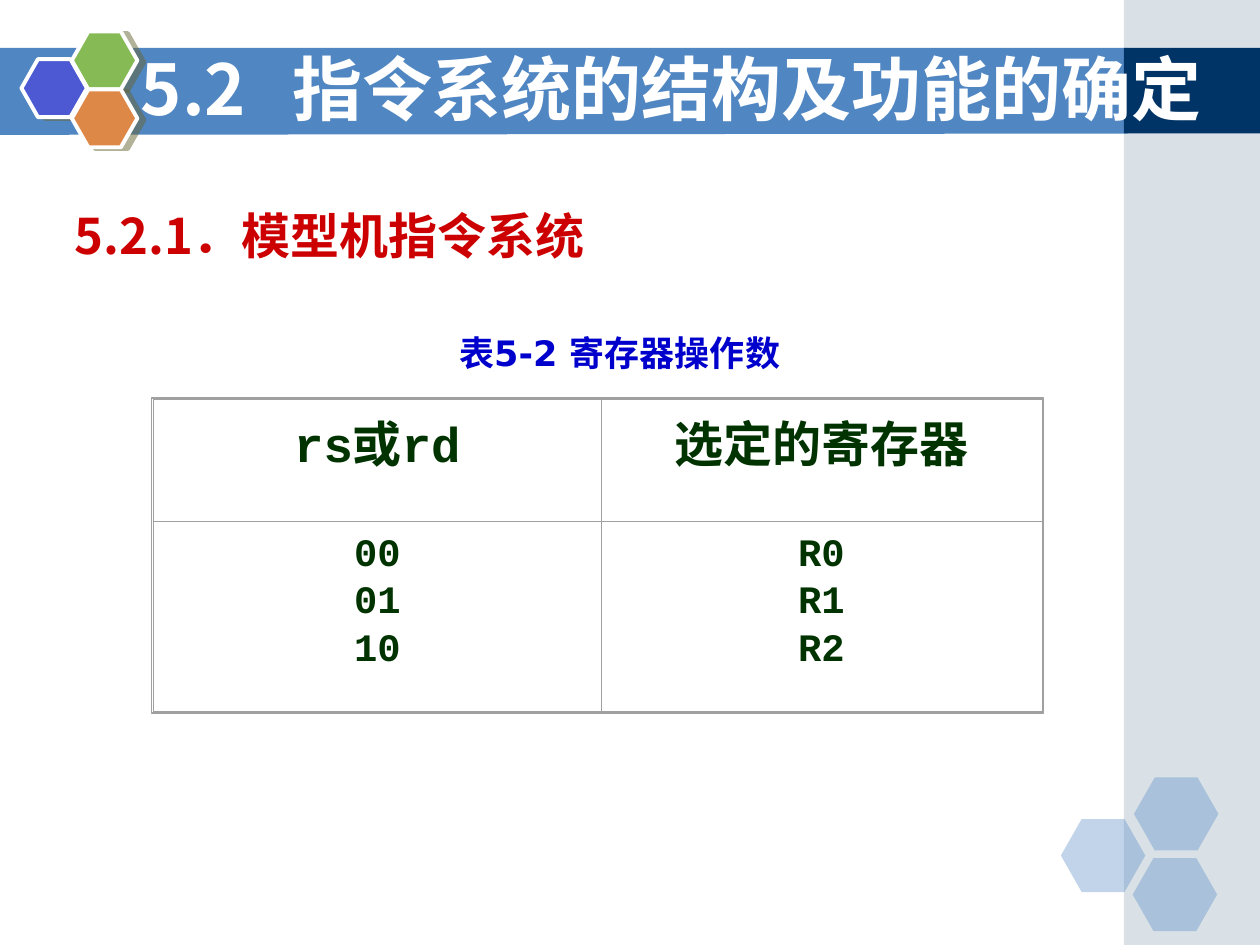
from lxml import etree
from pptx import Presentation
from pptx import util as u
from pptx.dml.color import RGBColor
from pptx.enum import shapes, text
from pptx.oxml.ns import qn

WIDTH, HEIGHT = 10, 7.5
COLORS = {
    "band": "5086C2", "side": "A0B5C4", "corner": "003366",
    "blue": "4C59D2", "green": "85BA54", "orange": "DE8848",
    "white": "FFFFFF", "shadow": "666633", "section": "CC0000",
    "caption": "0000CC", "entry": "003300", "grid": "A0A0A0",
}
CJK, SANS, MONO = "Noto Sans CJK SC", "DejaVu Sans", "Courier New"
BAND_TOP, BAND_HEIGHT = 0.38, 0.69
SIDE_LEFT = 8.92
TABLE_LEFT, TABLE_TOP = 1.22, 3.17
COLUMNS, ROWS = (3.55, 3.5), (0.97, 1.51)
FRAME_GAP = 0.01


def rgb(name):
    return RGBColor.from_string(COLORS[name])


def add_child(parent, tag, **attributes):
    return etree.SubElement(parent, qn(tag), attributes)


def add_color(parent, name, alpha=None):
    color = add_child(parent, "a:srgbClr", val=COLORS[name])
    if alpha is not None:
        add_child(color, "a:alpha", val=str(alpha * 1000))


def paint(shape, color, alpha=None):
    shape.shadow.inherit = False
    shape.line.fill.background()
    shape.fill.solid()
    shape.fill.fore_color.rgb = rgb(color)
    if alpha is not None:
        srgb = shape._element.spPr.find(qn("a:solidFill"))[0]
        add_child(srgb, "a:alpha", val=str(alpha * 1000))


def add_block(slide, kind, box, color, alpha=None):
    block = slide.shapes.add_shape(kind, *map(u.Inches, box))
    paint(block, color, alpha)
    return block


def add_hexagon(slide, box, color, alpha=None):
    hexagon = add_block(slide, shapes.MSO_SHAPE.HEXAGON, box, color, alpha)
    hexagon.adjustments[0] = 0.285
    return hexagon


def add_badge(slide, left, top, color):
    """White-edged hexagon with a shadow to its right."""
    badge = add_hexagon(slide, (left, top, 0.52, 0.46), color)
    badge.line.color.rgb = rgb("white")
    badge.line.width = u.Pt(2.25)
    effects = badge._element.spPr.find(qn("a:effectLst"))
    shadow = add_child(effects, "a:outerShdw", dist=str(u.Pt(4.1)),
                       dir=str(14 * 60000), algn="ctr", rotWithShape="0")
    add_color(shadow, "shadow", 50)


def add_backdrop(slide):
    bottom = BAND_TOP + BAND_HEIGHT
    outline = slide.shapes.build_freeform(u.Inches(-0.01), u.Inches(BAND_TOP))
    corners = [(8.95, BAND_TOP), (8.95, bottom - 0.01), (-0.01, bottom)]
    outline.add_line_segments([(u.Inches(x), u.Inches(y)) for x, y in corners])
    paint(outline.convert_to_shape(), "band")

    side_width = WIDTH - SIDE_LEFT
    rectangle = shapes.MSO_SHAPE.RECTANGLE
    add_block(slide, rectangle, (SIDE_LEFT, 0, side_width, HEIGHT), "side", 40)
    add_block(slide, rectangle,
              (SIDE_LEFT, BAND_TOP, side_width, BAND_HEIGHT - 0.01), "corner")
    for left, top in [(8.42, 6.5), (9, 6.17), (8.99, 6.81)]:
        add_hexagon(slide, (left, top, 0.67, 0.58), "band", 35)
    for left, top, color in [(0.17, 0.47, "blue"), (0.57, 0.25, "green"),
                             (0.57, 0.71, "orange")]:
        add_badge(slide, left, top, color)


def set_font(target, face, size, color):
    """Style a paragraph or a run, East Asian letters included."""
    font = target.font
    font.name, font.size, font.bold = face, u.Pt(size), True
    font.color.rgb = rgb(color)
    east_asian = etree.Element(qn("a:ea"), typeface=CJK)
    font._rPr.find(qn("a:latin")).addnext(east_asian)


def add_label(slide, box, words, face, size, color,
              align=text.PP_ALIGN.CENTER, tab=None):
    label = slide.shapes.add_textbox(*map(u.Inches, box)).text_frame
    label.word_wrap = True
    line = label.paragraphs[0]
    line.text = words
    line.alignment = align
    if tab:
        stops = add_child(line._p.get_or_add_pPr(), "a:tabLst")
        add_child(stops, "a:tab", pos=str(u.Inches(tab)), algn="l")
    set_font(line, face, size, color)
    return label


def add_borders(cell):
    properties = cell._tc.get_or_add_tcPr()
    for index, side in enumerate(("a:lnL", "a:lnR", "a:lnT", "a:lnB")):
        border = etree.Element(qn(side), w=str(u.Pt(0.5)))
        add_color(add_child(border, "a:solidFill"), "grid")
        properties.insert(index, border)


def fill_cell(cell, lines, size, line_spacing=1.0, gap=0):
    """Write lines of (words, face) runs into a cell."""
    cell.fill.background()
    add_borders(cell)
    cell.margin_top = u.Inches(0.05 if len(lines) == 1 else 0.13)
    frame = cell.text_frame
    for index, runs in enumerate(lines):
        line = frame.add_paragraph() if index else frame.paragraphs[0]
        line.alignment = text.PP_ALIGN.CENTER
        line.line_spacing = line_spacing
        if index:
            line.space_before = u.Pt(gap)
        for words, face in runs:
            run = line.add_run()
            run.text = words
            set_font(run, face, size, "entry")


def add_register_table(slide):
    width, height = sum(COLUMNS), sum(ROWS)
    table = slide.shapes.add_table(
        len(ROWS), len(COLUMNS),
        *map(u.Inches, (TABLE_LEFT, TABLE_TOP, width, height))).table
    table.first_row = table.horz_banding = False
    for column, size in zip(table.columns, COLUMNS):
        column.width = u.Inches(size)
    for row, size in zip(table.rows, ROWS):
        row.height = u.Inches(size)

    headings = [[("rs", MONO), ("或", CJK), ("rd", MONO)],
                [("选定的寄存器", CJK)]]
    codes = [("00", "01", "10"), ("R0", "R1", "R2")]
    for column, (heading, values) in enumerate(zip(headings, codes)):
        fill_cell(table.cell(0, column), [heading], 28)
        fill_cell(table.cell(1, column),
                  [[(value, MONO)] for value in values], 22.2, 0.8, 7)

    frame = slide.shapes.add_shape(
        shapes.MSO_SHAPE.RECTANGLE,
        *map(u.Inches, (TABLE_LEFT - 2 * FRAME_GAP, TABLE_TOP - FRAME_GAP,
                        width + 3 * FRAME_GAP, height + 2 * FRAME_GAP)))
    frame.shadow.inherit = False
    frame.fill.background()
    frame.line.color.rgb = rgb("grid")
    frame.line.width = u.Pt(0.75)


def main():
    deck = Presentation()
    deck.slide_width, deck.slide_height = u.Inches(WIDTH), u.Inches(HEIGHT)
    slide = deck.slides.add_slide(deck.slide_layouts[6])
    add_backdrop(slide)
    add_label(slide, (0.45, 1.58, 4.33, 0.57), "5.2.1．模型机指令系统 ",
              CJK, 28, "section")
    add_label(slide, (3.2, 2.58, 3.5, 0.44), "表5-2 寄存器操作数 ",
              SANS, 20, "caption")
    add_register_table(slide)
    title = add_label(slide, (1.02, 0.31, 8.86, 0.77),
                      "5.2\t指令系统的结构及功能的确定", CJK, 40, "white",
                      text.PP_ALIGN.LEFT, tab=1.2)
    title.vertical_anchor = text.MSO_ANCHOR.MIDDLE
    deck.save("out.pptx")


if __name__ == "__main__":
    main()
